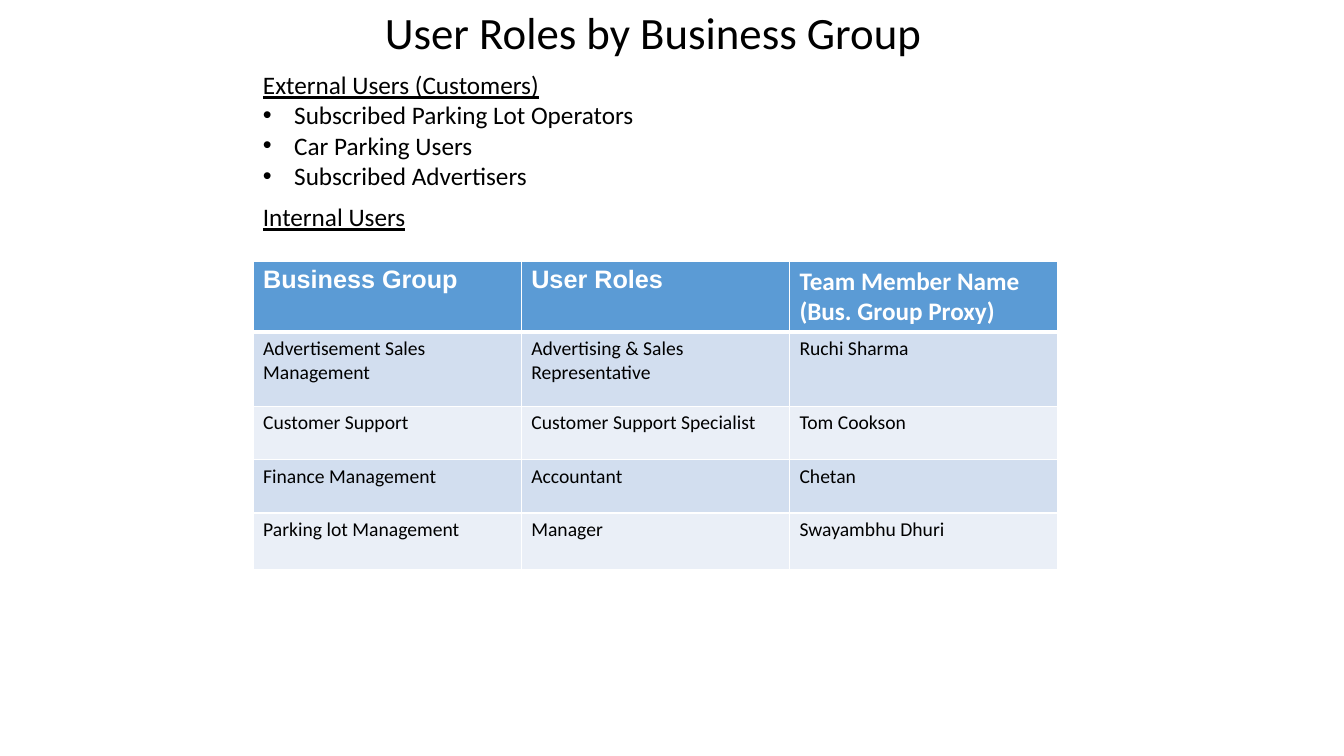
from dataclasses import dataclass

from lxml.etree import SubElement
from pptx import Presentation
from pptx.dml.color import RGBColor
from pptx.enum.text import MSO_AUTO_SIZE
from pptx.oxml.ns import qn
from pptx.util import Inches, Pt

SLIDE_WIDTH, SLIDE_HEIGHT = Inches(13.33), Inches(7.5)
LEFT_MARGIN = 2.51
COLUMN_WIDTH = 2.66
ROW_HEIGHTS = [0.7, 0.74, 0.53, 0.53, 0.56]
TABLE_TOP = 2.59
BULLET_INDENT = 0.31
BLACK, WHITE = "000000", "FFFFFF"
HEADER_FILL = "5B9BD5"
BAND_FILLS = ["D2DEEF", "EAEFF7"]


@dataclass
class TextStyle:
    """Look of a run of text."""
    size: int = 18
    font: str = "Calibri"
    color: str = BLACK
    bold: bool = False
    underline: bool = False


@dataclass
class Line:
    """One paragraph with its style."""
    text: str
    style: TextStyle
    bullet: bool = False


@dataclass
class TextBlock:
    """A text box: place in inches and its paragraphs."""
    left: float
    top: float
    width: float
    height: float
    lines: list[Line]


TITLE = TextStyle(size=32)
HEADING = TextStyle(underline=True)
BODY = TextStyle()
HEADER = TextStyle(color=WHITE, bold=True)
HEADER_ARIAL = TextStyle(font="Arial", color=WHITE, bold=True)
CELL = TextStyle(size=14)

TEXT_BLOCKS = [
    TextBlock(3.72, 0, 5.57, 0.64, [Line("User Roles by Business Group", TITLE)]),
    TextBlock(LEFT_MARGIN, 0.64, 3.92, 1.31, [
        Line("External Users (Customers)", HEADING),
        Line("Subscribed Parking Lot Operators", BODY, bullet=True),
        Line("Car Parking Users", BODY, bullet=True),
        Line("Subscribed Advertisers", BODY, bullet=True),
    ]),
    TextBlock(LEFT_MARGIN, 1.95, 1.63, 0.4, [Line("Internal Users", HEADING)]),
]
HEADER_CELLS = [
    [Line("Business Group", HEADER_ARIAL)],
    [Line("User Roles", HEADER_ARIAL)],
    [Line("Team Member Name", HEADER), Line("(Bus. Group Proxy)", HEADER)],
]
ROLES = [
    ("Advertisement Sales Management", "Advertising & Sales Representative", "Ruchi Sharma"),
    ("Customer Support", "Customer Support Specialist", "Tom Cookson"),
    ("Finance Management", "Accountant", "Chetan"),
    ("Parking lot Management", "Manager", "Swayambhu Dhuri"),
]


def rgb(color: str) -> RGBColor:
    """Turn a hex string into a colour."""
    return RGBColor.from_string(color)


def add_bullet(paragraph) -> None:
    """Give a paragraph a round bullet with a hanging indent."""
    properties = paragraph._p.get_or_add_pPr()
    properties.set("marL", str(Inches(BULLET_INDENT)))
    properties.set("indent", str(-Inches(BULLET_INDENT)))
    SubElement(properties, qn("a:buFont"), typeface="Arial")
    SubElement(properties, qn("a:buChar"), char="•")


def write_lines(text_frame, lines: list[Line]) -> None:
    """Write each line as a paragraph with one run."""
    for index, line in enumerate(lines):
        paragraph = text_frame.add_paragraph() if index else text_frame.paragraphs[0]
        if line.bullet:
            add_bullet(paragraph)
        run = paragraph.add_run()
        run.text = line.text
        run.font.size = Pt(line.style.size)
        run.font.name = line.style.font
        run.font.bold = line.style.bold
        run.font.underline = line.style.underline
        run.font.color.rgb = rgb(line.style.color)


def add_text_block(slide, block: TextBlock) -> None:
    """Add a text box that fits its unwrapped lines."""
    place = (block.left, block.top, block.width, block.height)
    text_frame = slide.shapes.add_textbox(*map(Inches, place)).text_frame
    text_frame.word_wrap = False
    text_frame.auto_size = MSO_AUTO_SIZE.SHAPE_TO_FIT_TEXT
    write_lines(text_frame, block.lines)


def set_borders(cell, widths: dict[str, int]) -> None:
    """Draw white cell borders, placed before the fill."""
    properties = cell._tc.get_or_add_tcPr()
    for position, (side, width) in enumerate(widths.items()):
        border = SubElement(properties, qn(f"a:{side}"), w=str(Pt(width)))
        fill = SubElement(border, qn("a:solidFill"))
        SubElement(fill, qn("a:srgbClr"), val=WHITE)
        properties.insert(position, border)


def fill_cell(cell, lines: list[Line], color: str, top: int, bottom: int) -> None:
    """Set the text, fill and borders of a cell."""
    write_lines(cell.text_frame, lines)
    cell.fill.solid()
    cell.fill.fore_color.rgb = rgb(color)
    set_borders(cell, {"lnL": 1, "lnR": 1, "lnT": top, "lnB": bottom})


def add_roles_table(slide) -> None:
    """Add the table of business groups, roles and members."""
    rows = [HEADER_CELLS] + [[[Line(text, CELL)] for text in role] for role in ROLES]
    column_count = len(HEADER_CELLS)
    table = slide.shapes.add_table(
        len(rows), column_count, Inches(LEFT_MARGIN), Inches(TABLE_TOP),
        Inches(COLUMN_WIDTH * column_count), Inches(sum(ROW_HEIGHTS))).table
    table.horz_banding = False
    for column in table.columns:
        column.width = Inches(COLUMN_WIDTH)
    for row_index, (row, height) in enumerate(zip(rows, ROW_HEIGHTS)):
        table.rows[row_index].height = Inches(height)
        color = BAND_FILLS[(row_index - 1) % 2] if row_index else HEADER_FILL
        top = 3 if row_index == 1 else 1
        bottom = 1 if row_index else 3
        for column_index, lines in enumerate(row):
            fill_cell(table.cell(row_index, column_index), lines, color, top, bottom)


def main() -> None:
    """Build and save the slide."""
    presentation = Presentation()
    presentation.slide_width, presentation.slide_height = SLIDE_WIDTH, SLIDE_HEIGHT
    slide = presentation.slides.add_slide(presentation.slide_layouts[6])
    for block in TEXT_BLOCKS:
        add_text_block(slide, block)
    add_roles_table(slide)
    presentation.save("out.pptx")


main()
